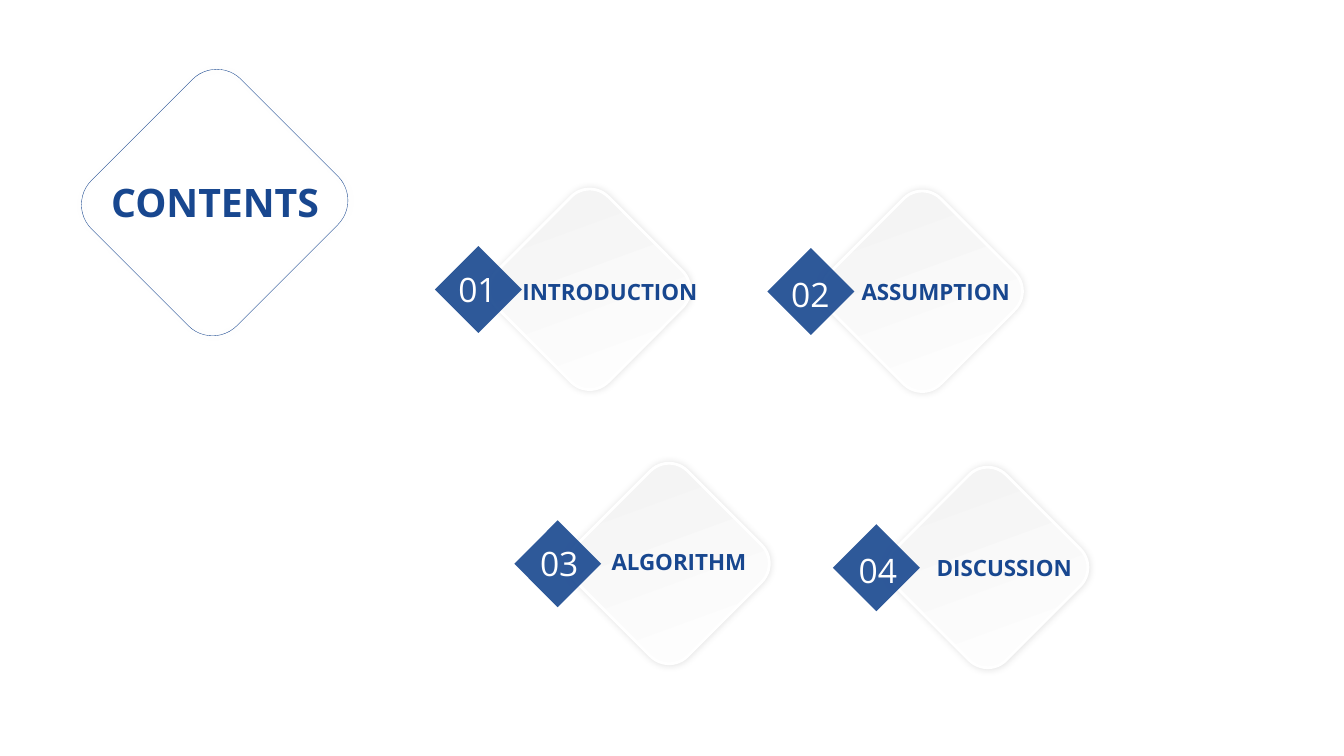
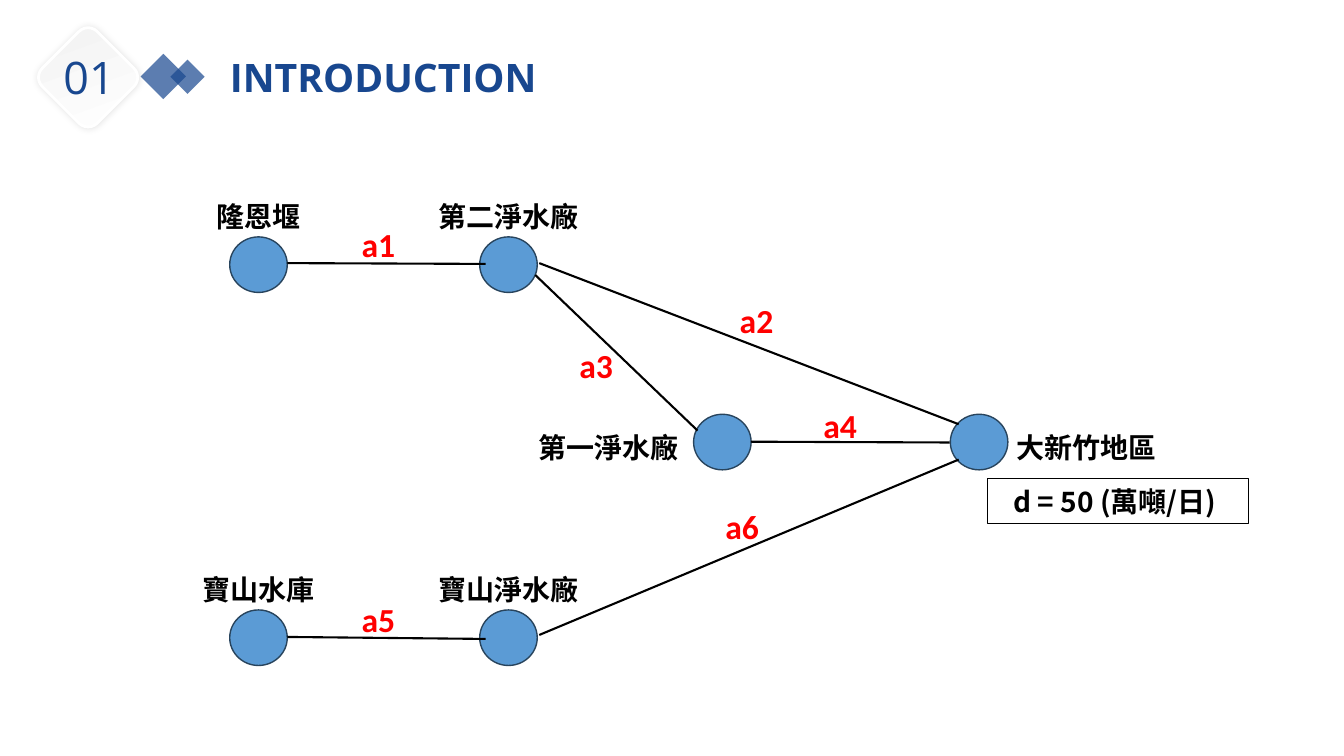
from lxml import etree
from pptx import Presentation
from pptx import util as u
from pptx.dml.color import RGBColor
from pptx.enum import shapes, text
from pptx.oxml.ns import qn

Cm, Pt = u.Cm, u.Pt
KIND = shapes.MSO_AUTO_SHAPE_TYPE
LEFT, CENTER = text.PP_ALIGN.LEFT, text.PP_ALIGN.CENTER


def rgb(value):
    return RGBColor.from_string(value)


class Deck:
    navy, black, red = "18478F", "000000", "FF0000"
    white, grey = "FFFFFF", "F2F2F2"
    node_fill, node_line = "5B9BD5", "28445D"
    latin, label_font, cjk = "Open Sans", "Calibri", "Noto Sans CJK TC"

    def __init__(self):
        self.prs = Presentation()
        self.prs.slide_width = Cm(33.87)
        self.prs.slide_height = Cm(19.05)
        self.s = None

    def new_slide(self):
        self.s = self.prs.slides.add_slide(self.prs.slide_layouts[5])

    def put_text(self, sp, words, size, color, font, bold=True, align=CENTER, wrap=True,
                 anchor=text.MSO_ANCHOR.TOP):
        tf = sp.text_frame
        tf.word_wrap = wrap
        tf.auto_size = text.MSO_AUTO_SIZE.SHAPE_TO_FIT_TEXT
        tf.vertical_anchor = anchor
        p = tf.paragraphs[0]
        p.alignment = align
        r = p.add_run()
        r.text = words
        r.font.size = Pt(size)
        r.font.bold = bold
        r.font.color.rgb = rgb(color)
        r.font.name = font
        ea = etree.SubElement(r._r.get_or_add_rPr(), qn("a:ea"))
        ea.set("typeface", font)

    def title(self, words, x, y, w, h, align):
        sp = self.s.shapes.title
        sp.left, sp.top, sp.width, sp.height = Cm(x), Cm(y), Cm(w), Cm(h)
        self.put_text(sp, words, 28, self.navy, self.latin, align=align)

    def label(self, words, x, y, w, h, size, color, font, **style):
        sp = self.s.shapes.add_textbox(Cm(x), Cm(y), Cm(w), Cm(h))
        self.put_text(sp, words, size, color, font, **style)

    def number(self, words, x, y, w, h, size, color):
        self.label(words, x, y, w, h, size, color, self.latin,
                   bold=False, align=LEFT, wrap=False)

    def shape(self, kind, x, y, w, h, fill=None, line=None, width=1, rotation=0):
        sp = self.s.shapes.add_shape(kind, Cm(x), Cm(y), Cm(w), Cm(h))
        sp.shadow.inherit = False
        sp.rotation = rotation
        if fill:
            sp.fill.solid()
            sp.fill.fore_color.rgb = rgb(fill)
        else:
            sp.fill.background()
        if line:
            sp.line.color.rgb = rgb(line)
            sp.line.width = Pt(width)
        else:
            sp.line.fill.background()
        return sp

    def soft_shadow(self, sp):
        effects = sp._element.spPr.find(qn("a:effectLst"))
        shadow = etree.SubElement(effects, qn("a:outerShdw"), blurRad=str(Pt(5)),
                                  dist="0", dir="0", algn="ctr", rotWithShape="0")
        color = etree.SubElement(shadow, qn("a:srgbClr"), val=self.black)
        etree.SubElement(color, qn("a:alpha"), val="11000")

    def outline_diamond(self, x, y, w, h):
        sp = self.shape(KIND.ROUNDED_RECTANGLE, x, y, w, h,
                        line=self.navy, width=0.25, rotation=45)
        self.soft_shadow(sp)

    def pale_diamond(self, x, y, side):
        sp = self.shape(KIND.ROUNDED_RECTANGLE, x, y, side, side,
                        line=self.white, width=2, rotation=45)
        sp.fill.gradient()
        sp.fill.gradient_angle = 110
        for stop, color in zip(sp.fill.gradient_stops, (self.white, self.grey)):
            stop.color.rgb = rgb(color)
        sp._element.spPr.find(qn("a:gradFill")).set("rotWithShape", "0")
        self.soft_shadow(sp)

    def blue_diamond(self, x, y, side, opacity):
        sp = self.shape(KIND.RECTANGLE, x, y, side, side, fill=self.navy, rotation=225)
        color = sp._element.spPr.find(qn("a:solidFill"))[0]
        etree.SubElement(color, qn("a:alpha"), val=str(opacity * 1000))

    def node(self, x, y):
        self.shape(KIND.FLOWCHART_CONNECTOR, x, y, 1.45, 1.4,
                   fill=self.node_fill, line=self.node_line)

    def line(self, x1, y1, x2, y2):
        c = self.s.shapes.add_connector(shapes.MSO_CONNECTOR.STRAIGHT,
                                        Cm(x1), Cm(y1), Cm(x2), Cm(y2))
        c.line.color.rgb = rgb(self.black)
        c.line.width = Pt(1.5)
        etree.SubElement(c._element.spPr, qn("a:effectLst"))

    def boxed_text(self, words, x, y, w, h):
        sp = self.shape(KIND.RECTANGLE, x, y, w, h, line=self.black, width=0.75)
        self.put_text(sp, words, 20, self.black, self.cjk, anchor=text.MSO_ANCHOR.MIDDLE)


def contents_slide(deck):
    deck.new_slide()
    deck.outline_diamond(2.82, 2.44, 5.18, 5.33)
    deck.title("CONTENTS", 1.98, 4.37, 6.88, 1.55, CENTER)
    chapters = [
        ("INTRODUCTION", (12.88, 5.31), (11.3, 6.65), (12.73, 6.88, 5.28)),
        ("ASSUMPTION", (21.26, 5.36), (19.69, 6.78), (21.18, 6.88, 4.8)),
        ("ALGORITHM", (14.88, 12.22), (13.36, 13.56), (14.66, 13.69, 4.9)),
        ("DISCUSSION", (22.91, 12.32), (21.39, 13.74), (22.63, 13.84, 5.36)),
    ]
    for i, (name, (x, y), number_at, label_at) in enumerate(chapters, 1):
        deck.pale_diamond(x, y, 3.96)
        deck.blue_diamond(x - 1.6, y + 1.21, 1.55, 90)
        deck.label(name, *label_at, 0.94, 16, deck.navy, deck.latin)
        deck.number(f"{i:02}", *number_at, 1.5, 1.27, 24, deck.white)


def introduction_slide(deck):
    deck.new_slide()
    deck.blue_diamond(3.71, 1.52, 0.81, 70)
    deck.blue_diamond(4.42, 1.63, 0.61, 70)
    deck.title("INTRODUCTION", 5.54, 1.22, 10.74, 1.45, LEFT)
    deck.pale_diamond(1.24, 0.97, 1.96)
    deck.number("01", 1.35, 1.12, 1.8, 1.63, 32, deck.navy)

    source_x, plant_x, first_plant_x, city_x = 5.79, 12.09, 17.48, 23.95
    top, middle, bottom = 5.97, 10.44, 15.37
    above, before, after = (-2.55, -1.07), (-5.41, 0.28), (0.15, 0.28)
    nodes = [
        ("隆恩堰", source_x, top, above),
        ("第二淨水廠", plant_x, top, above),
        ("第一淨水廠", first_plant_x, middle, before),
        ("大新竹地區", city_x, middle, after),
        ("寶山水庫", source_x, bottom, above),
        ("寶山淨水廠", plant_x, bottom, above),
    ]
    for name, x, y, (dx, dy) in nodes:
        deck.node(x, y)
        deck.label(name, x + dx, y + dy, 6.55, 1.12, 20, deck.black, deck.cjk)

    arcs = [
        ((7.24, 6.63, 12.24, 6.65), (8.48, 5.51)),
        ((13.59, 6.63, 24.16, 10.69), (18.01, 7.44)),
        ((13.49, 6.93, 17.58, 10.85), (13.97, 8.56)),
        ((18.92, 11.13, 23.93, 11.15), (20.12, 10.08)),
        ((7.24, 16.05, 12.24, 16.1), (8.48, 14.96)),
        ((13.59, 16, 24.16, 11.58), (17.65, 12.62)),
    ]
    for i, (ends, label_at) in enumerate(arcs, 1):
        deck.line(*ends)
        deck.label(f"a{i}", *label_at, 2.11, 1.27, 24, deck.red, deck.label_font)
    deck.boxed_text("d = 50 (萬噸/日) ", 24.89, 12.07, 6.58, 1.12)


def main():
    deck = Deck()
    contents_slide(deck)
    introduction_slide(deck)
    deck.prs.save("out.pptx")


if __name__ == "__main__":
    main()
